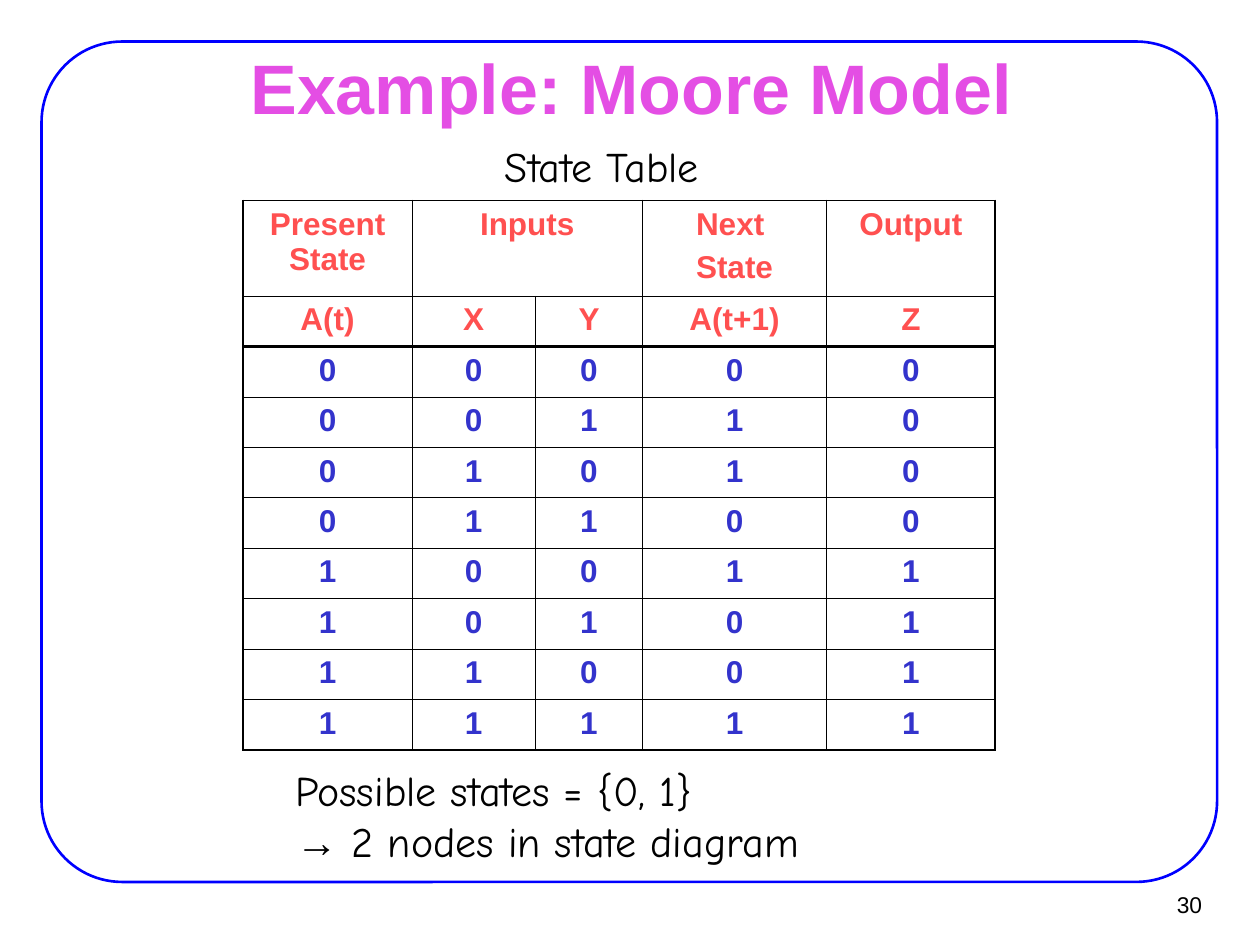
from dataclasses import dataclass
from itertools import product

from pptx import Presentation
from pptx import util as u
from pptx.dml.color import RGBColor
from pptx.enum import shapes, text
from pptx.oxml import parse_xml
from pptx.oxml.ns import nsdecls

LEFT, MID, RIGHT = text.PP_ALIGN.LEFT, text.PP_ALIGN.CENTER, text.PP_ALIGN.RIGHT
TOP, CORE = text.MSO_ANCHOR.TOP, text.MSO_ANCHOR.MIDDLE
BLACK, RED, NAVY = "000000", "FF5050", "3333CC"
THIN, EDGE, RULE = 0.45, 1.08, 1.47


@dataclass
class Style:
    size: float
    color: str = BLACK
    face: str = "Arial"
    bold: bool = False
    align: int = LEFT
    gap: float = 0


@dataclass
class Label:
    box: tuple
    lines: list
    style: Style
    anchor: int = TOP
    pad: tuple = (0.1, 0.05)


def tint(code: str) -> RGBColor:
    return RGBColor.from_string(code)


def place(box: tuple) -> list:
    return [u.Inches(v) for v in box]


def write(frame, lines: list, style: Style) -> None:
    """Each line is a list of (words, font) runs, or a plain string."""
    for i, line in enumerate(lines):
        para = frame.paragraphs[0] if i == 0 else frame.add_paragraph()
        para.alignment, para.space_before = style.align, u.Pt(style.gap)
        runs = [(line, style.face)] if isinstance(line, str) else line
        for words, face in runs:
            run = para.add_run()
            run.text = words
            form = {"name": face, "size": u.Pt(style.size), "bold": style.bold}
            for key, val in form.items():
                setattr(run.font, key, val)
            run.font.color.rgb = tint(style.color)


def label(shape, item: Label) -> None:
    frame = shape.text_frame
    x, y = place(item.pad)
    form = {"margin_left": x, "margin_right": x, "margin_top": y,
            "margin_bottom": y, "word_wrap": True,
            "auto_size": text.MSO_AUTO_SIZE.NONE,
            "vertical_anchor": item.anchor}
    for key, val in form.items():
        setattr(frame, key, val)
    write(frame, item.lines, item.style)


def border(cell, sides: dict) -> None:
    props = cell._tc.get_or_add_tcPr()
    for i, (side, width) in enumerate(sides.items()):
        props.insert(i, parse_xml(
            f'<a:ln{side} {nsdecls("a")} w="{u.Pt(width)}"><a:solidFill>'
            f'<a:srgbClr val="{BLACK}"/></a:solidFill></a:ln{side}>'))


deck = Presentation()
deck.slide_width, deck.slide_height = place((10, 7.5))
slide = deck.slides.add_slide(deck.slide_layouts[5])

# Title
title = slide.shapes.title
head = Label((0.76, 0.44, 8.5, 0.49), ["Example: Moore Model"],
             Style(40, "E44EE4", bold=True, align=MID), CORE, (0.11, 0.06))
title.left, title.top, title.width, title.height = place(head.box)
label(title, head)

# Rounded frame
frame = slide.shapes.add_shape(shapes.MSO_SHAPE.ROUNDED_RECTANGLE,
                               *place((0.33, 0.33, 9.33, 6.67)))
frame.adjustments[0] = 0.096
frame.shadow.inherit = False
frame.fill.background()
frame.line.color.rgb, frame.line.width = tint("0000FF"), u.Pt(1.5)

# Caption, closing note and page number
note = Style(24, face="Comic Neue")
labels = [
    Label((3.91, 1.07, 4.17, 0.5), ["State Table"], note),
    Label((2.25, 6.02, 5.5, 0.9),
          ["Possible states = {0, 1}",
           [("→", "Arial"), (" 2 nodes in state diagram", note.face)]], note),
    Label((9.02, 6.99, 0.61, 0.37), ["30"], Style(13, align=RIGHT),
          CORE, (0.09, 0.04)),
]
for item in labels:
    label(slide.shapes.add_textbox(*place(item.box)), item)

# State table: the next state is A xor X xor Y, the output is A
rows = [[["Present State"], ["Inputs"], [], ["Next ", "State"], ["Output"]],
        [["A(t)"], ["X"], ["Y"], ["A(t+1)"], ["Z"]]]
for a, x, y in product((0, 1), repeat=3):
    rows.append([[str(v)] for v in (a, x, y, a ^ x ^ y, a)])
wide = [1.34, 0.98, 0.85, 1.46, 1.34]
high = [0.76] + [0.4] * 9
last, end = len(high) - 1, len(wide) - 1

grid = slide.shapes.add_table(len(high), len(wide), *place(
    (1.93, 1.59, sum(wide), sum(high)))).table
grid.first_row = grid.horz_banding = False
for col, size in zip(grid.columns, wide):
    col.width = u.Inches(size)
for row, size in zip(grid.rows, high):
    row.height = u.Inches(size)
grid.cell(0, 1).merge(grid.cell(0, 2))

for r, c in product(range(last + 1), range(end + 1)):
    cell = grid.cell(r, c)
    cell.fill.background()
    border(cell, {"L": EDGE if c == 0 else THIN,
                  "R": EDGE if c == end else THIN,
                  "T": {0: EDGE, 2: RULE}.get(r, THIN),
                  "B": {1: RULE, last: EDGE}.get(r, THIN)})
    write(cell.text_frame, rows[r][c],
          Style(18, RED if r < 2 else NAVY, bold=True, align=MID, gap=4.5))

deck.save("out.pptx")
